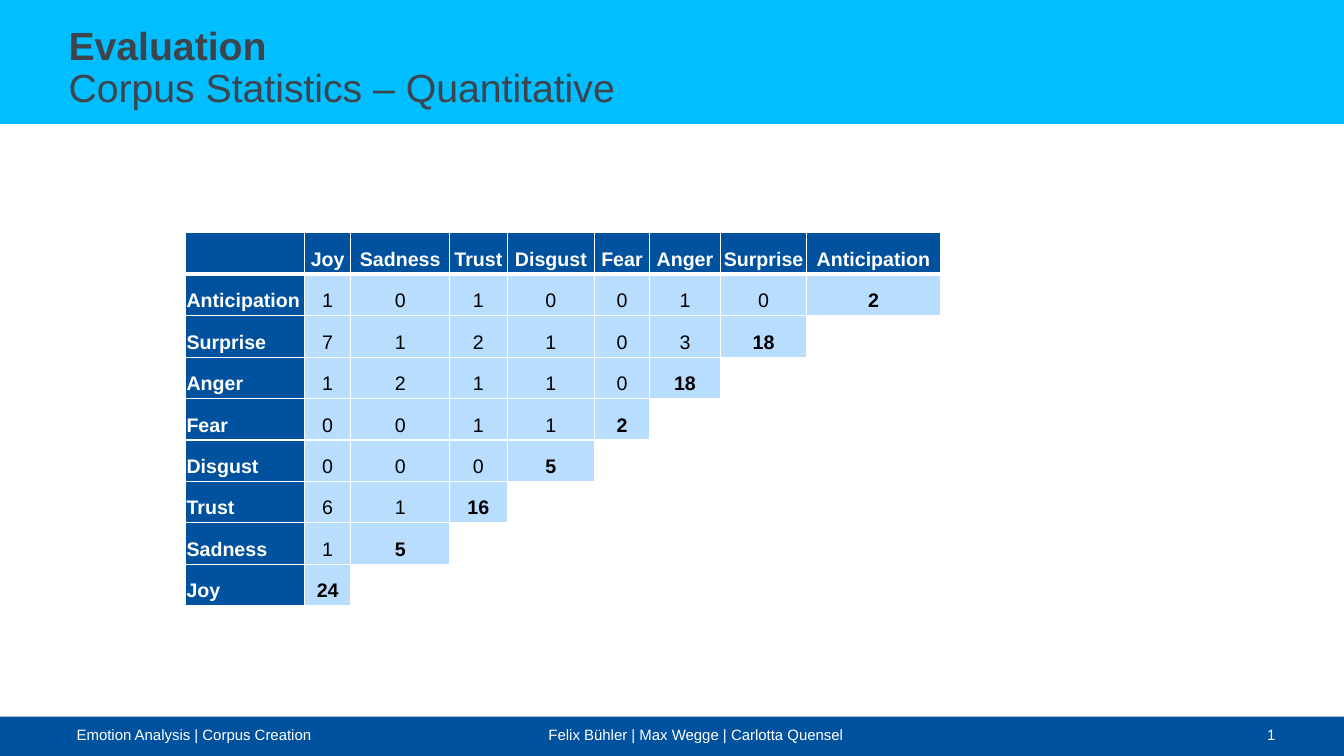
from pptx import Presentation
from pptx import util as u
from pptx.dml import color
from pptx.enum import shapes, text
from pptx.oxml import ns
from lxml import etree

NAVY, SKY, PALE = "00519E", "00BEFF", "B9DDFF"
WHITE, BLACK, SLATE = "FFFFFF", "000000", "3E444C"
LEFT, MID, RIGHT = text.PP_ALIGN.LEFT, text.PP_ALIGN.CENTER, text.PP_ALIGN.RIGHT

MOODS = ["Joy", "Sadness", "Trust", "Disgust", "Fear", "Anger", "Surprise", "Anticipation"]
COUNTS = [
    [1, 0, 1, 0, 0, 1, 0, 2],
    [7, 1, 2, 1, 0, 3, 18],
    [1, 2, 1, 1, 0, 18],
    [0, 0, 1, 1, 2],
    [0, 0, 0, 5],
    [6, 1, 16],
    [1, 5],
    [24],
]
WIDTHS = [1.18, 0.46, 0.98, 0.57, 0.87, 0.54, 0.71, 0.85, 1.33]


def rgb(code):
    return color.RGBColor.from_string(code)


class Deck:
    font = "Arial"

    def __init__(self):
        self.prs = Presentation()
        self.prs.slide_width = u.Inches(13.33)
        self.prs.slide_height = u.Inches(7.5)
        self.slide = self.prs.slides.add_slide(self.prs.slide_layouts[6])

    def run(self, para, words, size, tint, bold=False):
        run = para.add_run()
        run.text = words
        run.font.name = self.font
        run.font.size = u.Pt(size)
        run.font.bold = bold
        run.font.color.rgb = rgb(tint)

    def band(self, top, height, tint):
        bar = self.slide.shapes.add_shape(
            shapes.MSO_SHAPE.RECTANGLE, 0, u.Inches(top),
            self.prs.slide_width, u.Inches(height))
        bar.shadow.inherit = False
        bar.fill.solid()
        bar.fill.fore_color.rgb = rgb(tint)
        bar.line.fill.background()

    def label(self, left, top, width, height, align=LEFT):
        box = self.slide.shapes.add_textbox(*map(u.Inches, (left, top, width, height)))
        frame = box.text_frame
        frame.word_wrap = True
        frame.margin_left = frame.margin_right = 0
        frame.margin_top = frame.margin_bottom = 0
        para = frame.paragraphs[0]
        para.alignment = align
        return para

    def tab(self, para, place):
        props = para._p.get_or_add_pPr()
        tabs = etree.SubElement(props, ns.qn("a:tabLst"))
        etree.SubElement(tabs, ns.qn("a:tab"), pos=str(u.Inches(place)), algn="l")

    def edge(self, cell, side, width):
        props = cell._tc.get_or_add_tcPr()
        line = etree.SubElement(props, ns.qn("a:ln" + side), w=str(u.Pt(width)))
        fill = etree.SubElement(line, ns.qn("a:solidFill"))
        etree.SubElement(fill, ns.qn("a:srgbClr"), val=WHITE)

    def cell(self, cell, words, tint, ink, bold, align, top, base):
        for side, width in (("L", 1), ("R", 1), ("T", top), ("B", base)):
            self.edge(cell, side, width)
        cell.margin_left = cell.margin_right = cell.margin_top = u.Inches(0.01)
        cell.margin_bottom = 0
        cell.vertical_anchor = text.MSO_ANCHOR.MIDDLE
        if tint is None:
            cell.fill.background()
            return
        cell.fill.solid()
        cell.fill.fore_color.rgb = rgb(tint)
        if words:
            para = cell.text_frame.paragraphs[0]
            para.alignment = align
            para.line_spacing = 1.5
            para.space_after = u.Pt(6)
            self.run(para, words, 14, ink, bold)

    def matrix(self, left, top, widths, height, names, counts):
        size = len(names) + 1
        frame = self.slide.shapes.add_table(
            size, size, u.Inches(left), u.Inches(top),
            u.Inches(sum(widths)), u.Inches(height))
        grid = frame.table
        grid.first_row = grid.horz_banding = False
        for col, width in zip(grid.columns, widths):
            col.width = u.Inches(width)
        rows = [["", *names]]
        rows += [[name, *nums] for name, nums in zip(reversed(names), counts)]
        for r, row in enumerate(rows):
            for c in range(size):
                words = str(row[c]) if c < len(row) else ""
                head = r == 0 or c == 0
                tint = NAVY if head else PALE if c < len(row) else None
                self.cell(grid.cell(r, c), words, tint,
                          WHITE if head else BLACK,
                          head or c == len(row) - 1,
                          LEFT if c == 0 else MID,
                          3 if r == 1 else 1, 3 if r == 0 else 1)


def main():
    deck = Deck()
    deck.band(7.11, 0.39, NAVY)
    deck.band(0, 1.23, SKY)
    deck.matrix(1.84, 2.31, WIDTHS, 3.7, MOODS, COUNTS)

    page = deck.label(12.32, 7.2, 0.33, 0.18, RIGHT)
    deck.run(page, "1", 10.7, WHITE)

    foot = deck.label(0.76, 7.2, 7.68, 0.18)
    deck.tab(foot, 4.68)
    deck.run(foot, "Emotion Analysis | Corpus Creation\tFelix Bühler | Max Wegge | Carlotta Quensel", 10.7, WHITE)

    title = deck.label(0.68, 0.26, 12.02, 0.37)
    title.line_spacing = 0.9
    deck.run(title, "Evaluation", 28, SLATE, True)
    title.add_line_break()
    deck.run(title, "Corpus Statistics – Quantitative", 28, SLATE)

    deck.prs.save("out.pptx")


if __name__ == "__main__":
    main()
